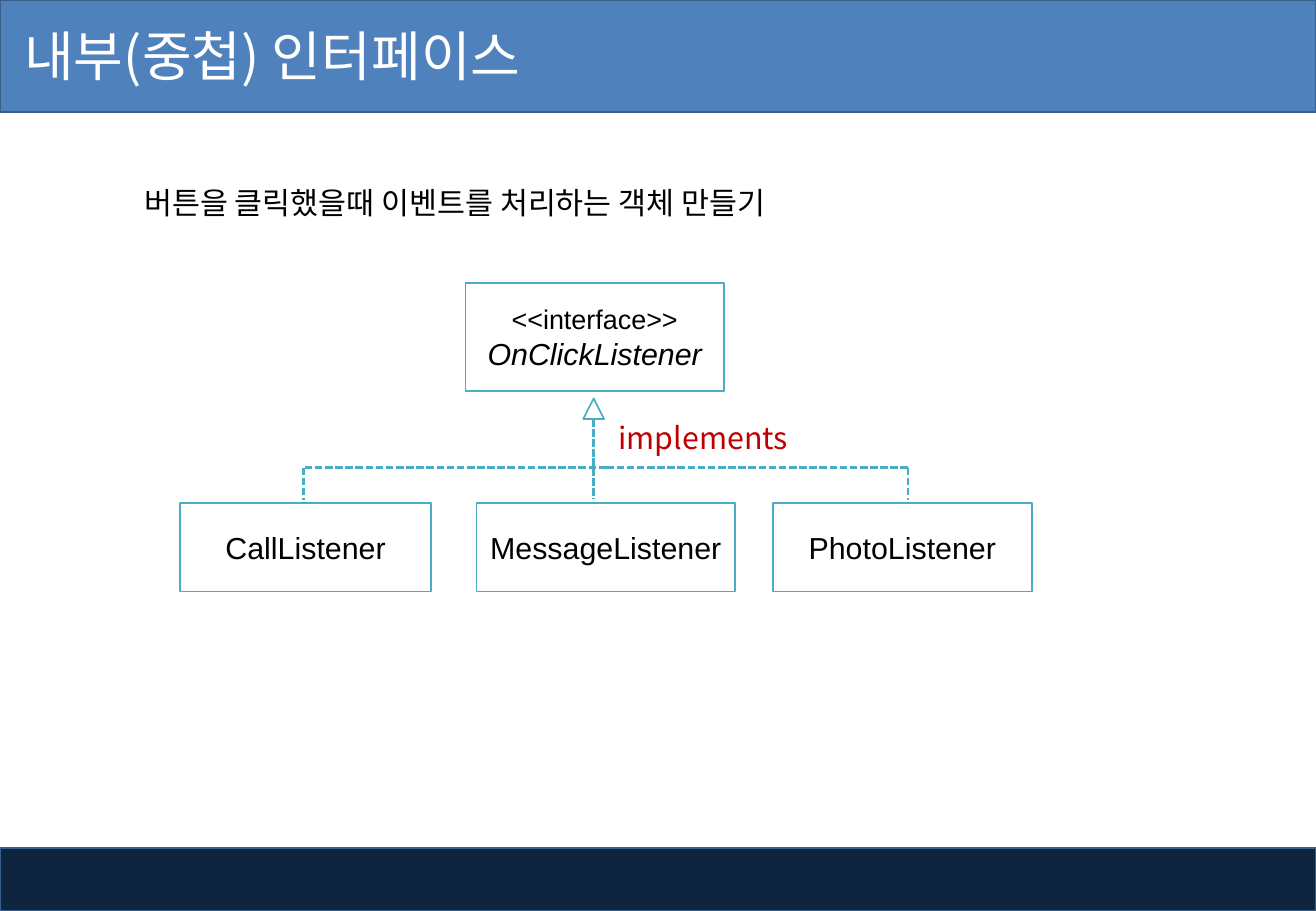
from itertools import pairwise

from lxml.etree import SubElement
from pptx import Presentation
from pptx.dml.color import RGBColor
from pptx.enum.dml import MSO_LINE
from pptx.enum.shapes import MSO_CONNECTOR, MSO_SHAPE
from pptx.enum.text import MSO_ANCHOR, MSO_AUTO_SIZE, PP_ALIGN
from pptx.oxml.ns import qn
from pptx.util import Inches, Pt

COLORS = {
    "banner": "4F81BD", "footer": "0F243E", "bar line": "3A5F8C",
    "diagram": "4BACC6", "white": "FFFFFF", "black": "000000", "red": "C00000",
}
LATIN, KOREAN = "Arial", "Noto Sans CJK KR"
WIDTH, HEIGHT = Inches(10.83), Inches(7.5)

# All places are on a grid of 100 columns by 100 rows: left, top, width, height.
TITLE = ("내부(중첩) 인터페이스", (0, 0, 62.6, 12))
BARS = [("footer", (0, 93.07, 100, 6.93)), ("banner", (0, 0, 100, 12.27))]
LABELS = [
    ("버튼을 클릭했을때 이벤트를 처리하는 객체 만들기", "black", (10.06, 19.6, 61.77, 5.33)),
    ("implements", "red", (46.08, 45.33, 14.96, 5.33)),
]
CLASS_TOP, CLASS_HEIGHT = 55.2, 9.73
CLASSES = [
    ("CallListener", 13.67, 19.11),
    ("MessageListener", 36.2, 19.67),
    ("PhotoListener", 58.73, 19.67),
]
INTERFACE = (35.36, 31.07, 19.67, 11.87)
INTERFACE_LINES = [
    ("<<interface>>", {"size": Pt(16)}),
    ("OnClickListener", {"size": Pt(18), "italic": True}),
]
ARROW_X, BUS_X, BUS_Y, STEM_END = 45.11, 46.08, 51.33, 54.93
ARROWHEAD = (ARROW_X - 0.79, 43.73, 1.58, 2.27)
ARROW_PATH = [(ARROW_X, 46), (ARROW_X, 50.27), (ARROW_X, 54.8)]
BRANCH_PATHS = [
    [(BUS_X, BUS_Y), (x, BUS_Y), (x, STEM_END)] for x in (23.08, 68.98)
]


def rgb(name):
    return RGBColor.from_string(COLORS[name])


def place(columns, rows):
    return round(WIDTH * columns / 100), round(HEIGHT * rows / 100)


def box(area):
    return *place(*area[:2]), *place(*area[2:])


def write(frame, lines, color, font_name, alignment=PP_ALIGN.LEFT):
    """Fill a text frame with one paragraph per (text, font format) pair."""
    for index, (text, font_format) in enumerate(lines):
        paragraph = frame.add_paragraph() if index else frame.paragraphs[0]
        paragraph.alignment = alignment
        run = paragraph.add_run()
        run.text = text
        run.font.color.rgb = rgb(color)
        for name, value in {"name": font_name, **font_format}.items():
            setattr(run.font, name, value)
        SubElement(run.font._element, qn("a:ea"), typeface=font_name)


def add_figure(slide, area, fill, line, kind=MSO_SHAPE.RECTANGLE):
    shape = slide.shapes.add_shape(kind, *box(area))
    shape.shadow.inherit = False
    shape.fill.solid()
    shape.fill.fore_color.rgb = rgb(fill)
    shape.line.color.rgb = rgb(line)
    shape.line.width = Pt(1)
    return shape


def add_class_box(slide, area, lines):
    frame = add_figure(slide, area, "white", "diagram").text_frame
    frame.vertical_anchor = MSO_ANCHOR.MIDDLE
    frame.word_wrap = True
    write(frame, lines, "black", LATIN, PP_ALIGN.CENTER)


def add_dashed_path(slide, points):
    for start, end in pairwise(points):
        connector = slide.shapes.add_connector(
            MSO_CONNECTOR.STRAIGHT, *place(*start), *place(*end))
        connector.line.color.rgb = rgb("diagram")
        connector.line.width = Pt(1.5)
        connector.line.dash_style = MSO_LINE.SQUARE_DOT
        SubElement(connector.element.spPr, qn("a:effectLst"))


def add_title(slide):
    text, area = TITLE
    title = slide.shapes.title
    title.left, title.top, title.width, title.height = box(area)
    frame = title.text_frame
    frame.auto_size = MSO_AUTO_SIZE.NONE
    frame.vertical_anchor = MSO_ANCHOR.MIDDLE
    frame.margin_left = Inches(0.2)
    write(frame, [(text, {"size": Pt(32)})], "white", KOREAN)
    for fill, bar_area in BARS:
        bar = add_figure(slide, bar_area, fill, "bar line")
        title.element.addprevious(bar.element)


def add_label(slide, text, color, area):
    frame = slide.shapes.add_textbox(*box(area)).text_frame
    frame.word_wrap = True
    frame.auto_size = MSO_AUTO_SIZE.SHAPE_TO_FIT_TEXT
    write(frame, [(text, {"size": Pt(18)})], color, KOREAN)


def main():
    presentation = Presentation()
    presentation.slide_width, presentation.slide_height = WIDTH, HEIGHT
    slide = presentation.slides.add_slide(presentation.slide_layouts[5])
    add_title(slide)
    add_figure(slide, ARROWHEAD, "white", "diagram", MSO_SHAPE.ISOSCELES_TRIANGLE)
    for points in [ARROW_PATH, *BRANCH_PATHS]:
        add_dashed_path(slide, points)
    for name, left, width in CLASSES:
        add_class_box(slide, (left, CLASS_TOP, width, CLASS_HEIGHT),
                      [(name, {"size": Pt(18)})])
    add_class_box(slide, INTERFACE, INTERFACE_LINES)
    for label in LABELS:
        add_label(slide, *label)
    presentation.save("out.pptx")


if __name__ == "__main__":
    main()
